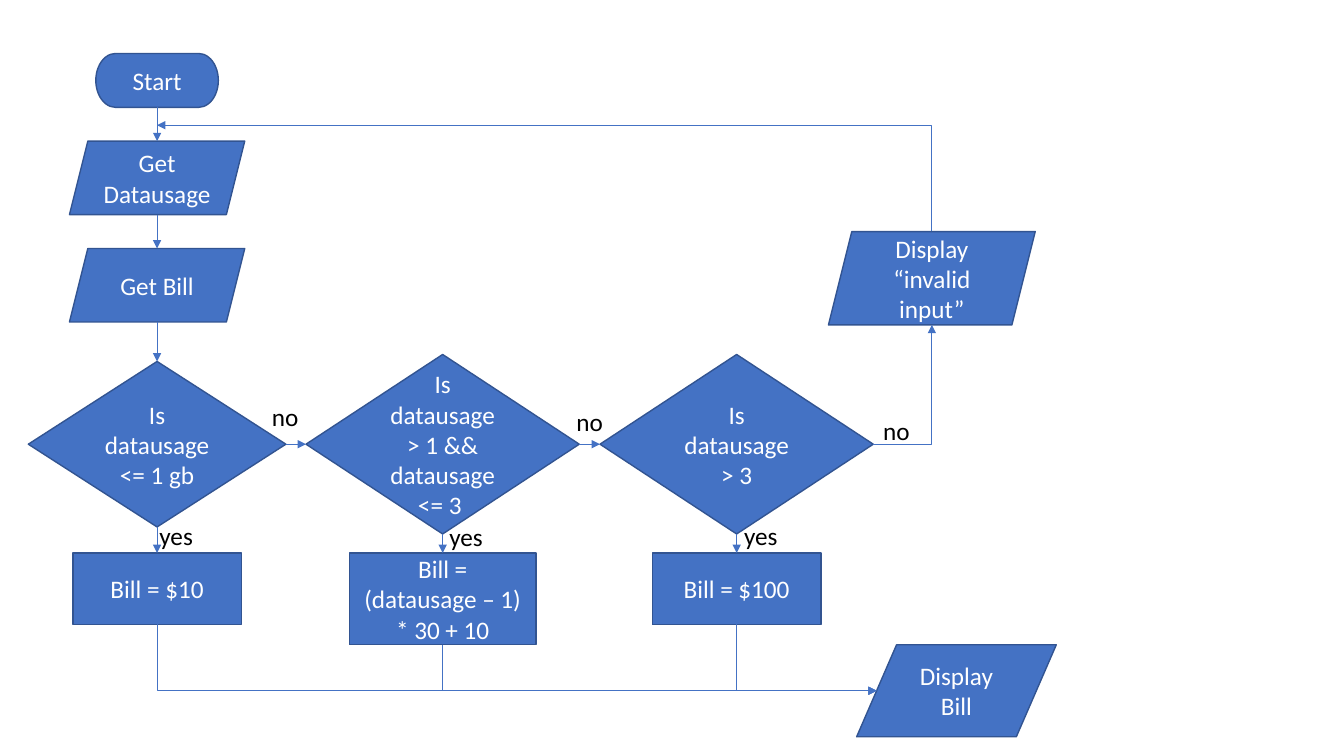
from dataclasses import dataclass

from lxml import etree
from pptx import Presentation
from pptx import util as u
from pptx.dml.color import RGBColor
from pptx.enum import shapes, text
from pptx.oxml import ns

KIND = shapes.MSO_SHAPE
TOP, LEFT, BOTTOM, RIGHT = (0.5, 0), (0, 0.5), (0.5, 1), (1, 0.5)
SLANTED_LEFT = (0.1, 0.5)


@dataclass(frozen=True)
class Theme:
    """Colours, font and sizes of the flowchart."""

    fill: RGBColor = RGBColor(0x44, 0x72, 0xC4)
    outline: RGBColor = RGBColor(0x32, 0x54, 0x91)
    light: RGBColor = RGBColor(0xFF, 0xFF, 0xFF)
    dark: RGBColor = RGBColor(0, 0, 0)
    font: str = "Calibri"
    size: int = 18
    outline_width: float = 1
    arrow_width: float = 0.5


class Flowchart:
    """Draws flowchart elements on one page, in points."""

    def __init__(self, page, theme):
        self.page = page
        self.theme = theme

    def set_words(self, shape, words, colour):
        """Put styled words into a shape."""
        shape.text_frame.text = words
        para = shape.text_frame.paragraphs[0]
        for span in para.runs:
            span.font.name = self.theme.font
            span.font.size = u.Pt(self.theme.size)
            span.font.color.rgb = colour
        return para

    def node(self, kind, words, centre, top, width, height):
        """Add a filled step centred on a column."""
        shape = self.page.shapes.add_shape(
            kind, u.Pt(centre - width / 2), u.Pt(top), u.Pt(width), u.Pt(height))
        shape.shadow.inherit = False
        shape.fill.solid()
        shape.fill.fore_color.rgb = self.theme.fill
        shape.line.color.rgb = self.theme.outline
        shape.line.width = u.Pt(self.theme.outline_width)
        shape.text_frame.word_wrap = True
        shape.text_frame.vertical_anchor = text.MSO_ANCHOR.MIDDLE
        self.set_words(shape, words, self.theme.light).alignment = text.PP_ALIGN.CENTER
        return shape

    def label(self, words, left, top, width):
        """Add a branch label."""
        box = self.page.shapes.add_textbox(u.Pt(left), u.Pt(top), u.Pt(width), u.Pt(29))
        box.text_frame.word_wrap = False
        box.text_frame.auto_size = text.MSO_AUTO_SIZE.SHAPE_TO_FIT_TEXT
        self.set_words(box, words, self.theme.dark)

    def arrow(self, start, end, bent=False):
        """Add an arrow, optionally with one corner."""
        connector = self.page.shapes.add_connector(
            shapes.MSO_CONNECTOR.ELBOW if bent else shapes.MSO_CONNECTOR.STRAIGHT,
            *(u.Pt(value) for value in (*start, *end)))
        connector.line.color.rgb = self.theme.fill
        connector.line.width = u.Pt(self.theme.arrow_width)
        properties = connector.element.spPr
        if bent:
            properties.find(ns.qn("a:prstGeom")).set("prst", "bentConnector2")
        tail = etree.SubElement(properties.find(ns.qn("a:ln")), ns.qn("a:tailEnd"))
        tail.set("type", "triangle")
        etree.SubElement(properties, ns.qn("a:effectLst"))
        return connector

    def arrow_down_first(self, start, end):
        """Add a cornered arrow that leaves vertically."""
        middle_x, middle_y = (start[0] + end[0]) / 2, (start[1] + end[1]) / 2
        turned = [(middle_x - (y - middle_y), middle_y + (x - middle_x))
                  for x, y in (start, end)]
        connector = self.arrow(*turned, bent=True)
        connector.element.spPr.find(ns.qn("a:xfrm")).set("rot", str(270 * 60000))


def site(shape, place):
    """Return the point at a relative place on a shape."""
    across, down = place
    return (shape.left.pt + shape.width.pt * across,
            shape.top.pt + shape.height.pt * down)


def main():
    """Build the data usage flowchart."""
    deck = Presentation()
    deck.slide_width, deck.slide_height = u.Pt(960), u.Pt(540)
    chart = Flowchart(deck.slides.add_slide(deck.slide_layouts[6]), Theme())
    first, second, third, retry = 112.2, 316.2, 526.2, 665.6

    start = chart.node(KIND.FLOWCHART_TERMINATOR, "Start", first, 38.2, 87.5, 38.5)
    usage = chart.node(KIND.PARALLELOGRAM, "Get Datausage", first, 100.8, 125.2, 52.5)
    bill = chart.node(KIND.PARALLELOGRAM, "Get Bill", first, 177.5, 125.2, 52.5)
    decisions = [
        chart.node(KIND.FLOWCHART_DECISION, words, centre, 317.3 - height / 2, width, height)
        for words, centre, width, height in (
            ("Is datausage <= 1 gb", first, 184, 118.2),
            ("Is datausage > 1 && datausage <= 3 ", second, 195.2, 128.2),
            ("Is datausage > 3", third, 195.2, 128.2))]
    charges = [
        chart.node(KIND.FLOWCHART_PROCESS, words, centre, 395, width, height)
        for words, centre, width, height in (
            ("Bill = $10", first, 120.3, 51.1),
            ("Bill = (datausage – 1) * 30 + 10", second, 133.3, 65.5),
            ("Bill = $100", third, 120.3, 51.1))]
    invalid = chart.node(
        KIND.PARALLELOGRAM, "Display “invalid input”", retry, 165.4, 147.7, 66.7)
    result = chart.node(KIND.FLOWCHART_DATA, "Display Bill", 683.2, 460.6, 142.6, 65.7)

    steps = [start, usage, bill, decisions[0]]
    for upper, lower in [*zip(steps, steps[1:]), *zip(decisions, charges)]:
        chart.arrow(site(upper, BOTTOM), site(lower, TOP))
    for before, after in zip(decisions, decisions[1:]):
        chart.arrow(site(before, RIGHT), site(after, LEFT))
    for charge in charges:
        chart.arrow_down_first(site(charge, BOTTOM), site(result, SLANTED_LEFT))
    chart.arrow(site(decisions[-1], RIGHT), site(invalid, BOTTOM), bent=True)
    chart.arrow_down_first(site(invalid, TOP), (first, 89.5))

    for left, top in ((106.8, 368), (313.9, 369), (524.4, 368)):
        chart.label("yes", left, top, 43.2)
    for left, top in ((187.2, 283), (404.6, 286.6), (623.7, 293)):
        chart.label("no", left, top, 33.1)

    deck.save("out.pptx")


if __name__ == "__main__":
    main()
